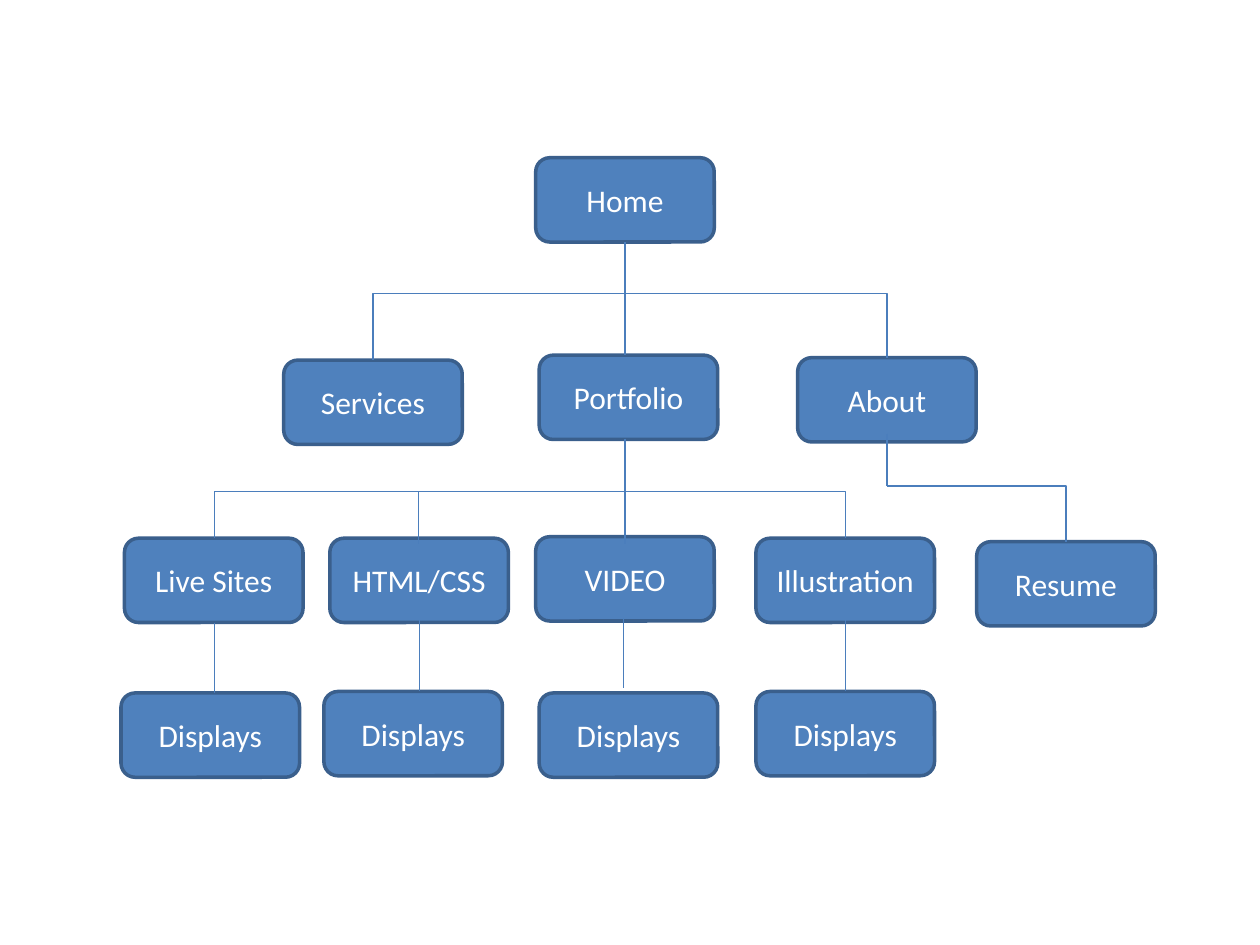
from lxml.etree import SubElement
from pptx import Presentation
from pptx.dml.color import RGBColor
from pptx.enum.shapes import MSO_CONNECTOR, MSO_SHAPE
from pptx.enum.text import MSO_ANCHOR, PP_ALIGN
from pptx.oxml.ns import qn
from pptx.util import Cm, Pt

BOX_FILL = RGBColor(0x4F, 0x81, 0xBD)
BOX_LINE = RGBColor(0x3A, 0x5F, 0x8C)
LINK_LINE = RGBColor(0x4B, 0x7E, 0xBC)
WHITE = RGBColor(0xFF, 0xFF, 0xFF)

BOX_WIDTH, BOX_HEIGHT = 3.6, 1.7
FONT = {"name": "Calibri", "size": Pt(18)}

# Label, left, top in centimetres
PAGES = [
    ("Home", 10.8, 3.18),
    ("Services", 5.72, 7.26),
    ("Portfolio", 10.87, 7.16),
    ("About", 16.08, 7.21),
    ("Live Sites", 2.51, 10.85),
    ("HTML/CSS", 6.65, 10.85),
    ("VIDEO", 10.8, 10.82),
    ("Illustration", 15.24, 10.85),
    ("Resume", 19.69, 10.92),
    ("Displays", 2.44, 13.97),
    ("Displays", 6.53, 13.94),
    ("Displays", 10.87, 13.97),
    ("Displays", 15.24, 13.94),
]

TRUNK, ABOUT = 12.6, 17.88
UPPER_BUS, LOWER_BUS, ABOUT_BUS = 5.92, 9.91, 9.8

# Centre, top, bottom of the vertical links
DROPS = [
    (TRUNK, 4.88, UPPER_BUS),
    (TRUNK, UPPER_BUS, 7.16),
    (TRUNK, 8.84, LOWER_BUS),
    (TRUNK, LOWER_BUS, 10.97),
    (8.43, LOWER_BUS, 10.97),
    (ABOUT, 8.74, ABOUT_BUS),
    (4.32, 12.55, 13.97),
    (8.46, 12.5, 13.92),
    (12.57, 12.45, 13.87),
    (17.04, 12.5, 13.92),
]

# Start x, bus height, end x, end y of the links that run across, then down
BRANCHES = [
    (TRUNK, UPPER_BUS, 7.52, 7.26),
    (TRUNK, UPPER_BUS, ABOUT, 7.21),
    (TRUNK, LOWER_BUS, 4.32, 10.85),
    (8.66, LOWER_BUS, 17.04, 10.85),
    (ABOUT, ABOUT_BUS, 21.49, 10.92),
]


def set_all(target, values):
    """Set every attribute named in a dict."""
    for name, value in values.items():
        setattr(target, name, value)


def add_box(page, label, left, top):
    """Add one rounded, labelled box."""
    box = page.shapes.add_shape(MSO_SHAPE.ROUNDED_RECTANGLE, Cm(left), Cm(top),
                                Cm(BOX_WIDTH), Cm(BOX_HEIGHT))
    box.shadow.inherit = False
    box.fill.solid()
    box.fill.fore_color.rgb = BOX_FILL
    box.line.color.rgb = BOX_LINE
    box.line.width = Pt(2)
    set_all(box.text_frame, {"word_wrap": True, "vertical_anchor": MSO_ANCHOR.MIDDLE})
    para = box.text_frame.paragraphs[0]
    para.alignment = PP_ALIGN.CENTER
    span = para.add_run()
    span.text = label
    set_all(span.font, FONT)
    span.font.color.rgb = WHITE


def add_link(page, kind, *ends):
    """Add a thin connector without shadow between two points."""
    link = page.shapes.add_connector(kind, *map(Cm, ends))
    link.line.color.rgb = LINK_LINE
    link.line.width = Pt(0.75)
    properties = link._element.spPr
    SubElement(properties, qn("a:effectLst"))
    if kind == MSO_CONNECTOR.ELBOW:
        properties.find(qn("a:prstGeom")).set("prst", "bentConnector2")


deck = Presentation()
set_all(deck, {"slide_width": Cm(25.4), "slide_height": Cm(19.05)})
page = deck.slides.add_slide(deck.slide_layouts[6])

for label, left, top in PAGES:
    add_box(page, label, left, top)
for centre, top, bottom in DROPS:
    add_link(page, MSO_CONNECTOR.STRAIGHT, centre, top, centre, bottom)
for branch in BRANCHES:
    add_link(page, MSO_CONNECTOR.ELBOW, *branch)

deck.save("out.pptx")
